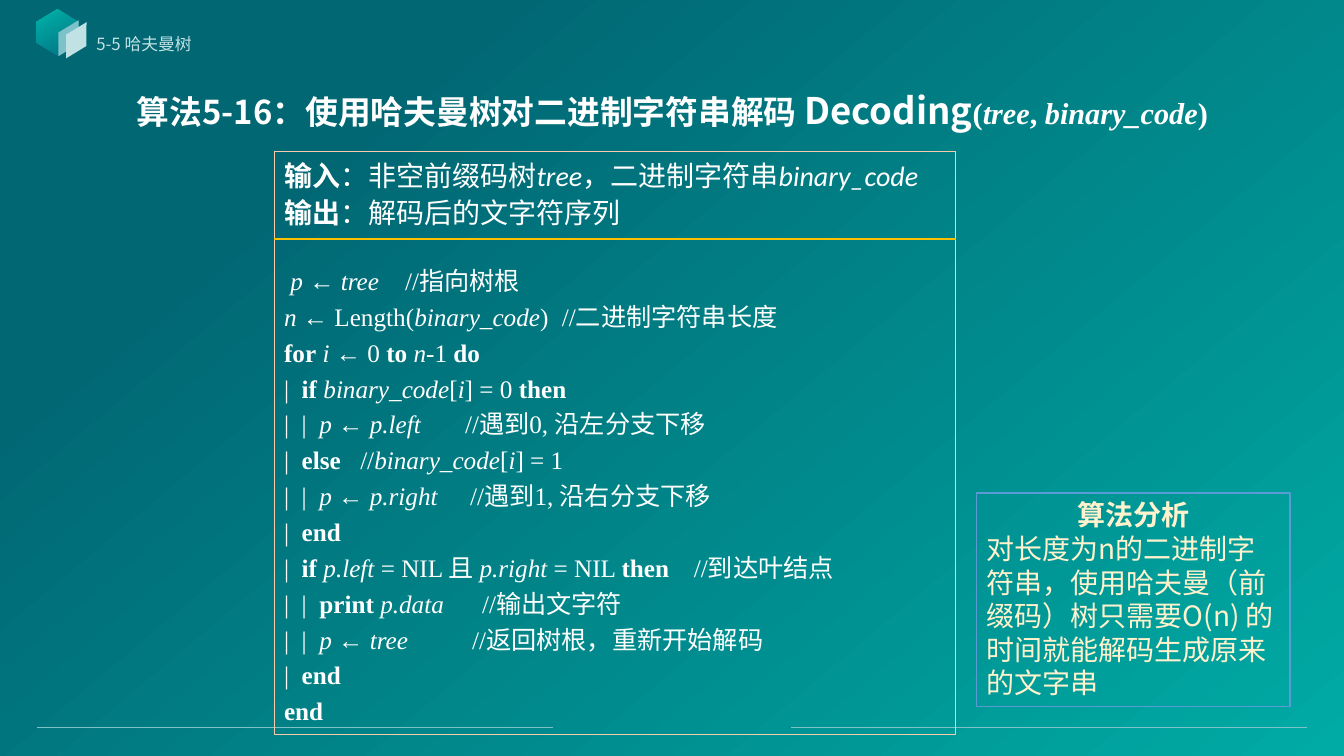
from lxml.etree import SubElement
from pptx import Presentation
from pptx.dml.color import RGBColor
from pptx.enum.shapes import MSO_CONNECTOR, MSO_SHAPE
from pptx.enum.text import MSO_ANCHOR, MSO_AUTO_SIZE, PP_ALIGN
from pptx.oxml.ns import qn
from pptx.util import Cm, Pt

SANS, SERIF, BODY = "Noto Sans CJK SC", "Times New Roman", "Calibri"
WHITE, CREAM, PALE, MIST = "FFFFFF", "FFF2CC", "C1E2E5", "7DC2C9"

# *bold* and ~italic~ mark the text; the number is the comment's tab stop in cm
CODE = [
    (" ~p~ ← ~tree~\t//指向树根", 3.05),
    ("~n~ ← Length(~binary_code~)\t//二进制字符串长度", 7),
    ("*for* ~i~ ← 0 *to* ~n~-1 *do*", None),
    ("|  *if* ~binary_code~[~i~] = 0 *then*", None),
    ("|  |  ~p~ ← ~p.left~\t//遇到0, 沿左分支下移", 4.56),
    ("|  *else*\t//~binary_code~[~i~] = 1", 1.92),
    ("|  |  ~p~ ← ~p.right~\t//遇到1, 沿右分支下移", 4.69),
    ("|  *end*", None),
    ("|  *if* ~p.left~ = NIL 且 ~p.right~ = NIL *then*\t//到达叶结点", 10.33),
    ("|  |  *print* ~p.data~\t//输出文字符", 4.99),
    ("|  |  ~p~ ← ~tree~\t//返回树根，重新开始解码", 4.74),
    ("|  *end*", None),
    ("*end*", None),
]


def color(value):
    return RGBColor.from_string(value)


def set_gradient(fill, angle, *stops):
    fill.gradient()
    fill.gradient_angle = 360 - angle
    for stop, (position, value) in zip(fill.gradient_stops, stops):
        stop.position = position
        stop.color.rgb = color(value)


def add_marked_runs(paragraph, text):
    for bold_index, part in enumerate(text.split("*")):
        for italic_index, piece in enumerate(part.split("~")):
            if piece:
                run = paragraph.add_run()
                run.text = piece
                if bold_index % 2:
                    run.font.bold = True
                if italic_index % 2:
                    run.font.italic = True


def format_paragraph(paragraph, font_name, size, value, leading=1.2, tab=None):
    properties = paragraph._p.get_or_add_pPr()
    if tab:
        tab_list = SubElement(properties, qn("a:tabLst"))
        SubElement(tab_list, qn("a:tab"), pos=str(Cm(tab)), algn="l")
    paragraph.line_spacing = Pt(round(size * leading, 1))
    font = paragraph.font
    font.name, font.size, font.color.rgb = font_name, Pt(size), color(value)
    latin = properties.find(qn("a:defRPr")).find(qn("a:latin"))
    east_asian = latin.makeelement(qn("a:ea"), {"typeface": SANS})
    latin.addnext(east_asian)


def add_line(slide, left, top, width, value, weight):
    line = slide.shapes.add_connector(
        MSO_CONNECTOR.STRAIGHT, Cm(left), Cm(top), Cm(left + width), Cm(top))
    line.line.color.rgb = color(value)
    line.line.width = Pt(weight)
    SubElement(line._element.spPr, qn("a:effectLst"))


def add_shape(slide, kind, left, top, width, height):
    shape = slide.shapes.add_shape(kind, Cm(left), Cm(top), Cm(width), Cm(height))
    shape.shadow.inherit = False
    return shape


def add_frame(slide, box, value, weight):
    shape = add_shape(slide, MSO_SHAPE.RECTANGLE, *box)
    shape.fill.background()
    shape.line.color.rgb = color(value)
    shape.line.width = Pt(weight)
    frame = shape.text_frame
    frame.word_wrap = True
    frame.vertical_anchor = MSO_ANCHOR.TOP
    return frame


def add_label(slide, box, text, font_name, size, value, leading=1.2):
    frame = slide.shapes.add_textbox(*map(Cm, box)).text_frame
    frame.word_wrap = True
    paragraph = frame.paragraphs[0]
    format_paragraph(paragraph, font_name, size, value, leading)
    add_marked_runs(paragraph, text)


def add_decoration(slide, left, top):
    """Background, foot lines and the hexagon ornament."""
    set_gradient(slide.background.fill, 50, (0.22, "016773"), (1, "00ABA5"))
    for line_left in (0.94, 19.94):
        add_line(slide, line_left, 18.34, 13, MIST, 0.5)

    hexagon = add_shape(slide, MSO_SHAPE.HEXAGON, left, top, 1.17, 1.07)
    hexagon.adjustments[0] = 0.305
    hexagon.rotation = 90
    set_gradient(hexagon.fill, 150, (0.1, "007684"), (0.87, "00ABA5"))
    hexagon.line.fill.background()
    for offset_x, offset_y, value in ((0.41, 0.43, MIST), (0.61, 0.48, PALE)):
        panel = add_shape(slide, MSO_SHAPE.PARALLELOGRAM,
                          left + offset_x, top + offset_y, 0.91, 0.51)
        panel.adjustments[0] = 0.61
        panel.rotation = 328.6
        panel.fill.solid()
        panel.fill.fore_color.rgb = color(value)
        panel.line.fill.background()


def set_title(slide, left, top, width, height):
    title = slide.shapes.title
    title.left, title.top, title.width, title.height = map(
        Cm, (left, top, width, height))
    frame = title.text_frame
    frame.auto_size = MSO_AUTO_SIZE.NONE
    frame.vertical_anchor = MSO_ANCHOR.MIDDLE
    paragraph = frame.paragraphs[0]
    paragraph.alignment = PP_ALIGN.CENTER
    format_paragraph(paragraph, SANS, 23.4, WHITE)
    paragraph.line_spacing = 0.9
    paragraph.font.bold = True
    parts = [("算法5-16：使用哈夫曼树对二进制字符串解码 ", SANS, 23.4),
             ("Decoding", SANS, 26.1),
             ("(~tree~, ~binary_code~)", SERIF, 21.6)]
    for text, font_name, size in parts:
        first_new = len(paragraph.runs)
        add_marked_runs(paragraph, text)
        for run in paragraph.runs[first_new:]:
            run.font.name, run.font.size = font_name, Pt(size)


def add_algorithm(slide, left, top, width, height):
    """Framed pseudocode under its input and output lines."""
    frame = add_frame(slide, (left, top, width, height), "F8CBAD", 0.75)
    frame.margin_top = Cm(2.88)
    for index, (text, tab) in enumerate(CODE):
        paragraph = frame.paragraphs[0] if index == 0 else frame.add_paragraph()
        paragraph.alignment = PP_ALIGN.LEFT
        format_paragraph(paragraph, SERIF, 18, WHITE, tab=tab)
        paragraph.space_before = Pt(1 if index else 0)
        paragraph.space_after = Pt(3)
        add_marked_runs(paragraph, text)

    headers = ["*输入*：非空前缀码树~tree~，二进制字符串~binary_code~",
               "*输出*：解码后的文字符序列"]
    for index, text in enumerate(headers):
        add_label(slide, (left, top + 0.05 + index * 0.93, width + 1, 1.12),
                  text, BODY, 20, WHITE)
    add_line(slide, left, top + 2.21, width, "FFC000", 1)


def add_analysis(slide, left, top, width, height):
    frame = add_frame(slide, (left, top, width, height), "5B9BD5", 1)
    heading, body = frame.paragraphs[0], frame.add_paragraph()
    heading.alignment, body.alignment = PP_ALIGN.CENTER, PP_ALIGN.LEFT
    for paragraph, text in (
            (heading, "*算法分析*"),
            (body, "对长度为n的二进制字符串，使用哈夫曼（前缀码）树只需要O(n) "
                   "的时间就能解码生成原来的文字串")):
        format_paragraph(paragraph, SANS, 20, CREAM)
        add_marked_runs(paragraph, text)


def main():
    presentation = Presentation()
    presentation.slide_width, presentation.slide_height = Cm(33.87), Cm(19.05)
    slide = presentation.slides.add_slide(presentation.slide_layouts[5])
    add_decoration(slide, 0.86, 0.28)
    set_title(slide, 2.34, 2.11, 29.21, 1.45)
    add_label(slide, (2.18, 0.76, 13.51, 0.91), "5-5 哈夫曼树", SANS, 12, PALE, 1.1)
    add_algorithm(slide, 6.91, 3.81, 17.18, 14.71)
    add_analysis(slide, 24.61, 12.42, 7.9, 5.39)
    presentation.save("out.pptx")


if __name__ == "__main__":
    main()
